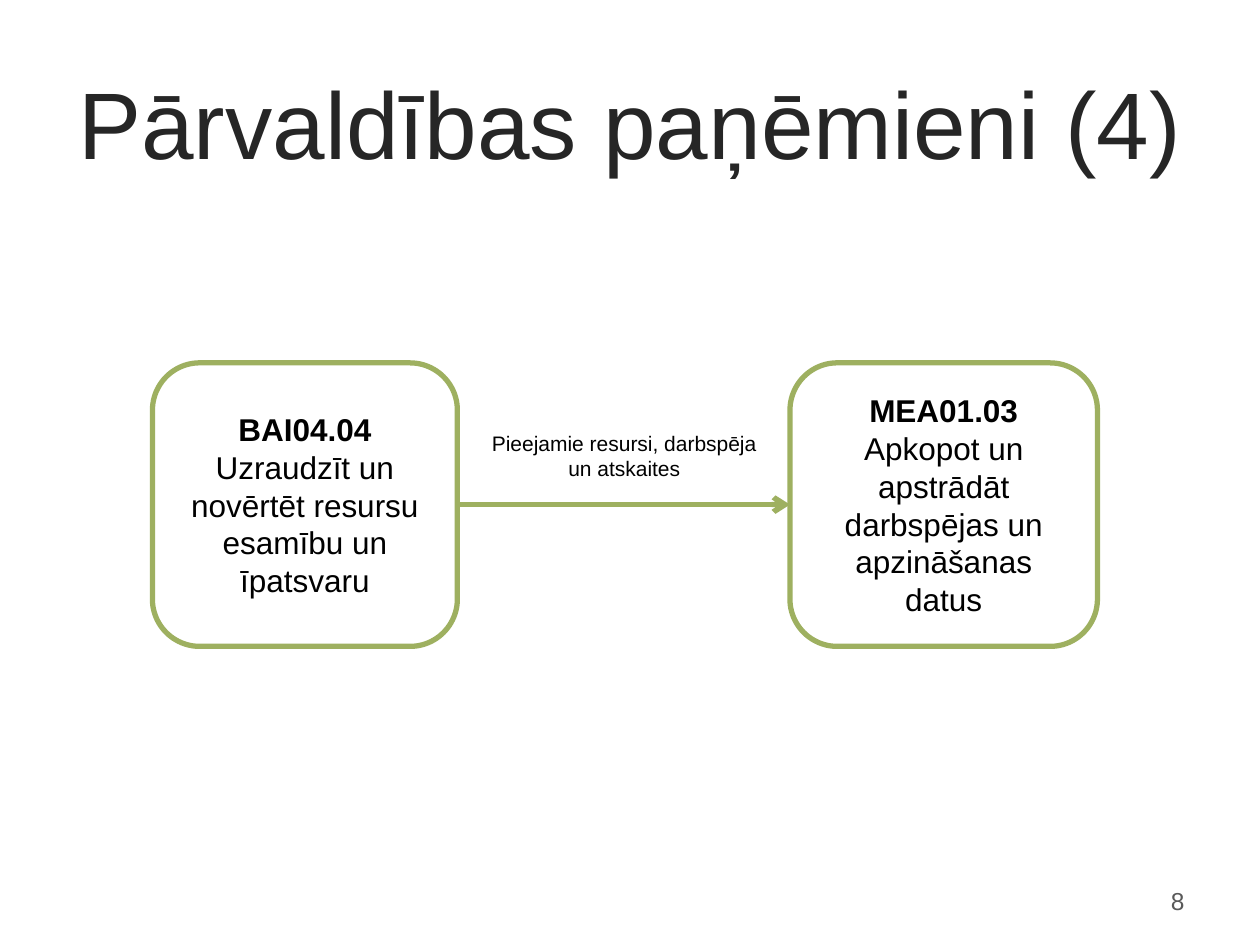
from dataclasses import dataclass

from pptx import Presentation
from pptx.dml.color import RGBColor
from pptx.enum.shapes import MSO_CONNECTOR, MSO_SHAPE
from pptx.enum.text import MSO_ANCHOR, PP_ALIGN
from pptx.oxml.ns import qn
from pptx.util import Inches, Pt
from lxml.etree import SubElement


@dataclass(frozen=True)
class Theme:
    font: str = "Arial"
    heading: RGBColor = RGBColor(0x26, 0x26, 0x26)
    ink: RGBColor = RGBColor(0, 0, 0)
    muted: RGBColor = RGBColor(0x59, 0x59, 0x59)
    paper: RGBColor = RGBColor(0xFF, 0xFF, 0xFF)
    green: RGBColor = RGBColor(0x9E, 0xB0, 0x60)
    title_size: int = 54
    practice_size: int = 18
    flow_size: int = 12
    number_size: int = 14
    line_width: int = 3


@dataclass(frozen=True)
class Practice:
    code: str
    name: str
    left: float
    width: float


THEME = Theme()
PRACTICE_TOP, PRACTICE_HEIGHT = 2.88, 2.25
PRACTICES = (
    Practice("BAI04.04", "Uzraudzīt un novērtēt resursu esamību un īpatsvaru", 1.21, 2.42),
    Practice("MEA01.03", "Apkopot un apstrādāt darbspējas un apzināšanas datus", 6.27, 2.44),
)


def format_paragraph(paragraph, size: int, color: RGBColor,
                     align=PP_ALIGN.CENTER, bold: bool = False) -> None:
    paragraph.alignment = align
    font = paragraph.font
    font.name, font.size, font.bold = THEME.font, Pt(size), bold
    font.color.rgb = color


def style_line(line) -> None:
    line.color.rgb = THEME.green
    line.width = Pt(THEME.line_width)


def add_label(slide, text: str, box: tuple, size: int, color: RGBColor,
              align=PP_ALIGN.CENTER, anchor=MSO_ANCHOR.TOP) -> None:
    frame = slide.shapes.add_textbox(*map(Inches, box)).text_frame
    frame.word_wrap = True
    frame.vertical_anchor = anchor
    frame.text = text
    format_paragraph(frame.paragraphs[0], size, color, align)


def add_practice(slide, practice: Practice):
    box = slide.shapes.add_shape(
        MSO_SHAPE.ROUNDED_RECTANGLE, Inches(practice.left), Inches(PRACTICE_TOP),
        Inches(practice.width), Inches(PRACTICE_HEIGHT))
    box.shadow.inherit = False
    box.fill.solid()
    box.fill.fore_color.rgb = THEME.paper
    style_line(box.line)
    frame = box.text_frame
    frame.word_wrap = True
    frame.vertical_anchor = MSO_ANCHOR.MIDDLE
    frame.text = f"{practice.code}\n{practice.name}"
    for index, paragraph in enumerate(frame.paragraphs):
        format_paragraph(paragraph, THEME.practice_size, THEME.ink, bold=index == 0)
    return box


def add_flow(slide, source, target) -> None:
    flow = slide.shapes.add_connector(MSO_CONNECTOR.STRAIGHT, 0, 0, 0, 0)
    flow.begin_connect(source, 3)
    flow.end_connect(target, 1)
    style_line(flow.line)
    SubElement(flow.line._get_or_add_ln(), qn("a:tailEnd"), type="arrow")
    SubElement(flow._element.spPr, qn("a:effectLst"))


presentation = Presentation()
presentation.slide_width, presentation.slide_height = Inches(10), Inches(7.5)
slide = presentation.slides.add_slide(presentation.slide_layouts[5])

# Title
title = slide.shapes.title
title.left, title.top, title.width, title.height = map(Inches, (0, 0.34, 10, 1.25))
title.text_frame.text = "Pārvaldības paņēmieni (4)"
title.text_frame.vertical_anchor = MSO_ANCHOR.MIDDLE
format_paragraph(title.text_frame.paragraphs[0], THEME.title_size, THEME.heading)

# Practices and the flow between them
source, target = [add_practice(slide, practice) for practice in PRACTICES]
add_flow(slide, source, target)
add_label(slide, "Pieejamie resursi, darbspēja un atskaites", (3.78, 3.37, 2.35, 0.5),
          THEME.flow_size, THEME.ink)

# Slide number
add_label(slide, "8", (7.17, 6.95, 2.33, 0.4), THEME.number_size, THEME.muted,
          PP_ALIGN.RIGHT, MSO_ANCHOR.MIDDLE)

presentation.save("out.pptx")
